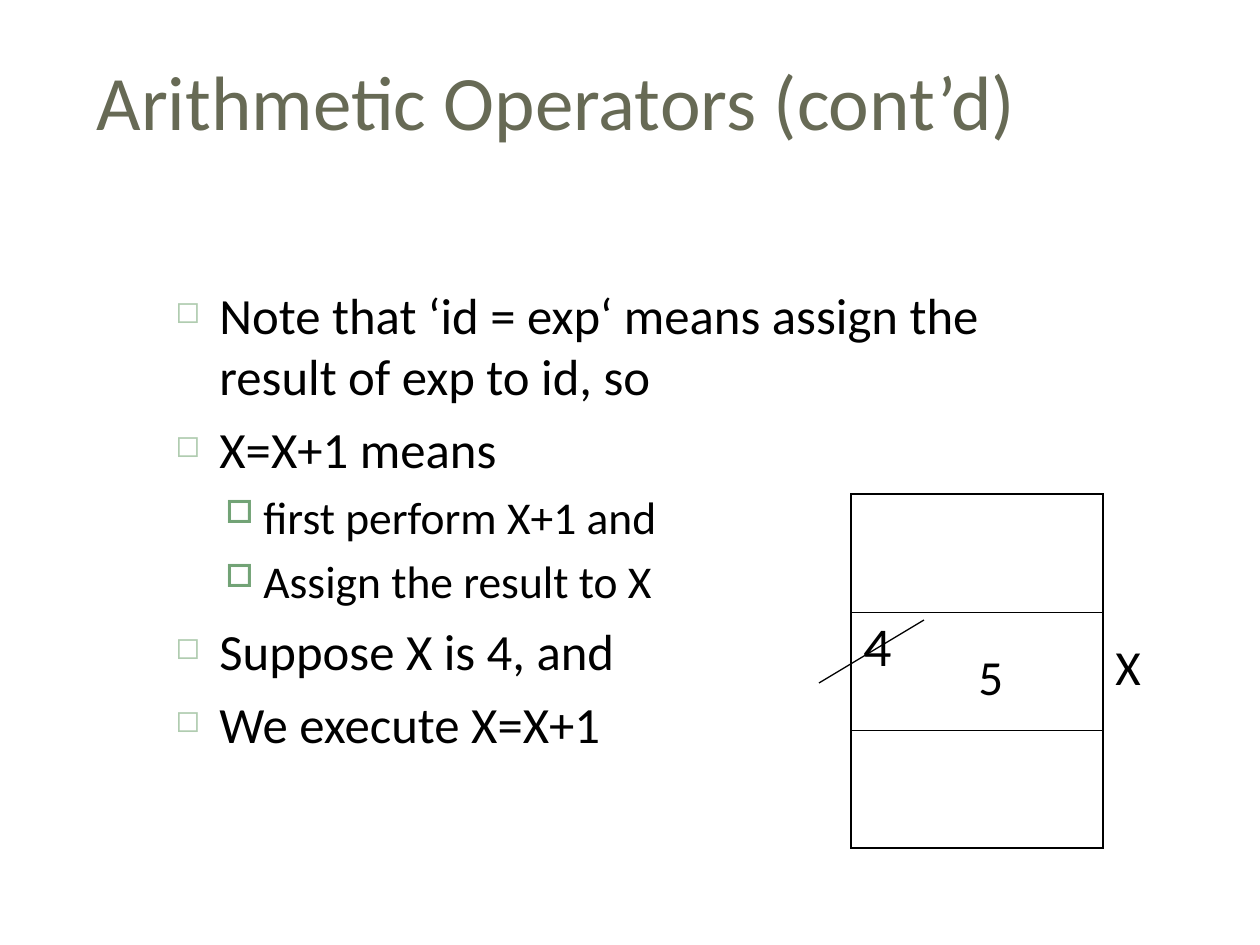
from lxml.etree import SubElement
from pptx import Presentation
from pptx.dml.color import RGBColor
from pptx.enum.shapes import MSO_CONNECTOR
from pptx.enum.text import MSO_ANCHOR, MSO_AUTO_SIZE, PP_ALIGN
from pptx.oxml.ns import qn
from pptx.util import Emu, Pt

TITLE = "Arithmetic Operators (cont’d)"
POINTS = [
    (0, "Note that ‘id = exp‘ means assign the result of exp to id, so"),
    (0, "X=X+1 means"),
    (1, "first perform X+1 and"),
    (1, "Assign the result to X"),
    (0, "Suppose X is 4, and"),
    (0, "We execute X=X+1"),
]
LEVELS = [
    dict(size=29, left=44, hang=44, before=7, char="◻", color="B0CCB0", scale=60),
    dict(size=26, left=88, hang=38, before=5.5, char="□", color="72A376", scale=70),
]
MEMORY = ["", "4", ""]
LABELS = [("X", (1103, 630, 84, 72)), ("5", (966, 640, 95, 72))]
TITLE_BOX = (84, 32, 1124, 136)
BODY_BOX = (163, 278, 929, 567)
MEMORY_BOX = (851, 494, 252, 354)
STRIKE = (924, 620, 819, 683)
BLACK = "000000"
OUTER, INNER = 1.08, 0.45


def px(n):
    return Emu(round(n * 914400 / 126))


def rgb(value):
    return RGBColor.from_string(value)


def style(p, size, color=BLACK, font="Calibri"):
    p.alignment = PP_ALIGN.LEFT
    for r in p.runs:
        r.font.size = Pt(size)
        r.font.name = font
        r.font.color.rgb = rgb(color)


def bullet(p, level):
    pPr = p._p.get_or_add_pPr()
    pPr.set("marL", str(px(level["left"])))
    pPr.set("indent", str(-px(level["hang"])))
    color = SubElement(pPr, qn("a:buClr"))
    SubElement(color, qn("a:srgbClr"), val=level["color"])
    SubElement(pPr, qn("a:buSzPct"), val=str(level["scale"] * 1000))
    SubElement(pPr, qn("a:buChar"), char=level["char"])


def border(cell, side, width):
    ln = SubElement(cell._tc.get_or_add_tcPr(), qn(f"a:ln{side}"), w=str(Pt(width)))
    fill = SubElement(ln, qn("a:solidFill"))
    SubElement(fill, qn("a:srgbClr"), val=BLACK)


def text_box(s, box):
    tf = s.shapes.add_textbox(*map(px, box)).text_frame
    tf.word_wrap = True
    return tf


def add_title(s):
    sp = s.shapes.title
    sp.left, sp.top, sp.width, sp.height = map(px, TITLE_BOX)
    tf = sp.text_frame
    tf.text = TITLE
    tf.vertical_anchor = MSO_ANCHOR.MIDDLE
    style(tf.paragraphs[0], 44, "676A55")


def add_points(s):
    tf = text_box(s, BODY_BOX)
    for i, (depth, text) in enumerate(POINTS):
        p = tf.add_paragraph() if i else tf.paragraphs[0]
        level = LEVELS[depth]
        p.text = text
        p.level = depth
        p.space_before = Pt(level["before"])
        style(p, level["size"])
        bullet(p, level)


def add_memory(s):
    count = len(MEMORY)
    table = s.shapes.add_table(count, 1, *map(px, MEMORY_BOX)).table
    table.first_row = table.horz_banding = False
    for i, text in enumerate(MEMORY):
        cell = table.cell(i, 0)
        cell.text = text
        style(cell.text_frame.paragraphs[0], 28, font="Lato")
        top = INNER if i else OUTER
        bottom = INNER if i < count - 1 else OUTER
        for side, width in zip("LRTB", (OUTER, OUTER, top, bottom)):
            border(cell, side, width)
        cell.fill.background()


def add_strike(s):
    line = s.shapes.add_connector(MSO_CONNECTOR.STRAIGHT, *map(px, STRIKE))
    line.line.color.rgb = rgb(BLACK)
    line.line.width = Pt(0.75)
    SubElement(line._element.spPr, qn("a:effectLst"))


def add_labels(s):
    for text, box in LABELS:
        tf = text_box(s, box)
        tf.text = text
        tf.auto_size = MSO_AUTO_SIZE.SHAPE_TO_FIT_TEXT
        style(tf.paragraphs[0], 28)


def main():
    prs = Presentation()
    prs.slide_width, prs.slide_height = px(1260), px(945)
    s = prs.slides.add_slide(prs.slide_layouts[5])
    add_title(s)
    add_points(s)
    add_memory(s)
    add_strike(s)
    add_labels(s)
    prs.save("out.pptx")


if __name__ == "__main__":
    main()
